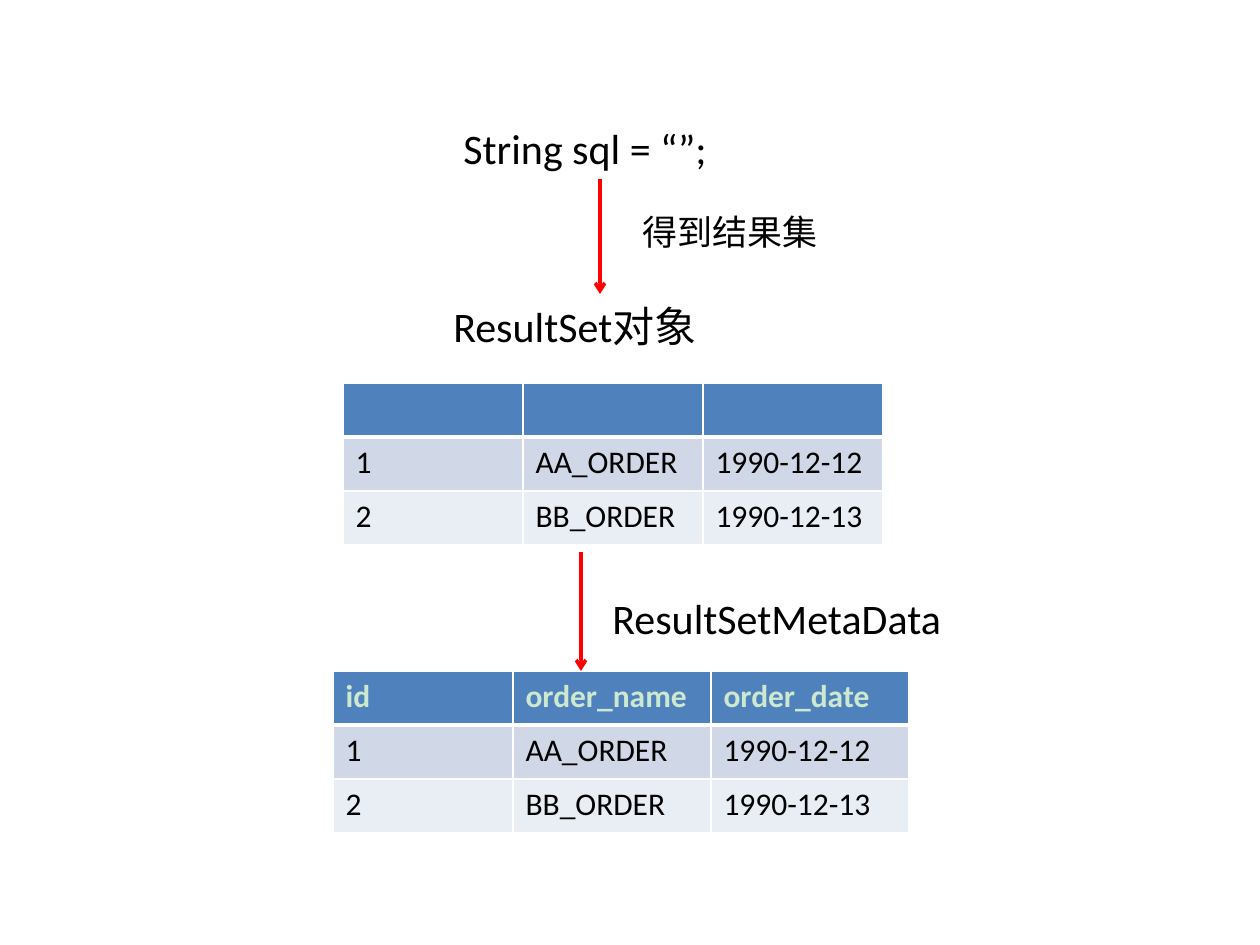
from lxml.etree import SubElement
from pptx import Presentation
from pptx.dml.color import RGBColor
from pptx.enum.shapes import MSO_CONNECTOR
from pptx.enum.text import MSO_AUTO_SIZE
from pptx.oxml.ns import qn
from pptx.util import Pt

SCALE = 914400 / 126


def px(*values):
    return [round(v * SCALE) for v in values]


def color(text):
    return RGBColor.from_string(text)


class Canvas:
    """Holds the style and the slide that elements are drawn on."""

    font, ink, edge, arrow = "Calibri", "000000", "FFFFFF", "FF0000"
    head, title = "4F81BD", "CCE8CF"
    bands = "D0D8E8", "E9EDF4"

    def __init__(self, slide):
        self.slide = slide
        fill = slide.background.fill
        fill.solid()
        fill.fore_color.rgb = color("FFFFFF")

    def label(self, frame, words, size, ink, bold=False, font=None):
        para = frame.paragraphs[0]
        para.text = words
        para.font.name = font or self.font
        para.font.size = Pt(size)
        para.font.bold = bold
        para.font.color.rgb = color(ink)

    def text(self, x, y, w, h, words, size=24, font=None):
        frame = self.slide.shapes.add_textbox(*px(x, y, w, h)).text_frame
        frame.word_wrap = True
        frame.auto_size = MSO_AUTO_SIZE.SHAPE_TO_FIT_TEXT
        self.label(frame, words, size, self.ink, font=font)

    def down(self, x, top, end):
        link = self.slide.shapes.add_connector(
            MSO_CONNECTOR.STRAIGHT, *px(x, top, x, end))
        link.line.color.rgb = color(self.arrow)
        link.line.width = Pt(2)
        line = link._element.spPr.find(qn("a:ln"))
        SubElement(line, qn("a:tailEnd"), type="arrow")
        SubElement(link._element.spPr, qn("a:effectLst"))

    def border(self, cell, side, width):
        line = SubElement(cell._tc.get_or_add_tcPr(), qn(f"a:ln{side}"),
                          w=str(Pt(width)))
        fill = SubElement(line, qn("a:solidFill"))
        SubElement(fill, qn("a:srgbClr"), val=self.edge)

    def table(self, x, y, widths, height, rows):
        frame = self.slide.shapes.add_table(
            len(rows), len(widths), *px(x, y, sum(widths), height * len(rows)))
        grid = frame.table
        for col, width in zip(grid.columns, px(*widths)):
            col.width = width
        for r, row in enumerate(rows):
            grid.rows[r].height = px(height)[0]
            for c, words in enumerate(row):
                cell = grid.cell(r, c)
                for side in "LRTB":
                    thick = (r, side) in ((0, "B"), (1, "T"))
                    self.border(cell, side, 3 if thick else 1)
                cell.fill.solid()
                cell.fill.fore_color.rgb = color(
                    self.bands[(r - 1) % 2] if r else self.head)
                self.label(cell.text_frame, words, 18,
                           self.ink if r else self.title, not r)


def main():
    deck = Presentation()
    deck.slide_width, deck.slide_height = px(1260, 945)
    page = Canvas(deck.slides.add_slide(deck.slide_layouts[6]))
    orders = [("1", "AA_ORDER", "1990-12-12"), ("2", "BB_ORDER", "1990-12-13")]
    names = "id", "order_name", "order_date"

    page.table(343, 383, (180, 180, 180), 54, [("", "", ""), *orders])
    page.table(333, 671, (180, 198, 198), 54, [names, *orders])
    page.down(581, 552, 671)
    page.text(600, 586, 397, 63, "ResultSetMetaData")
    page.text(451, 116, 297, 63, "String sql = “”;")
    page.text(441, 294, 318, 63, "ResultSet对象")
    page.down(600, 179, 294)
    page.text(630, 204, 287, 55, "得到结果集", 20, "Noto Sans CJK SC")
    deck.save("out.pptx")


if __name__ == "__main__":
    main()
